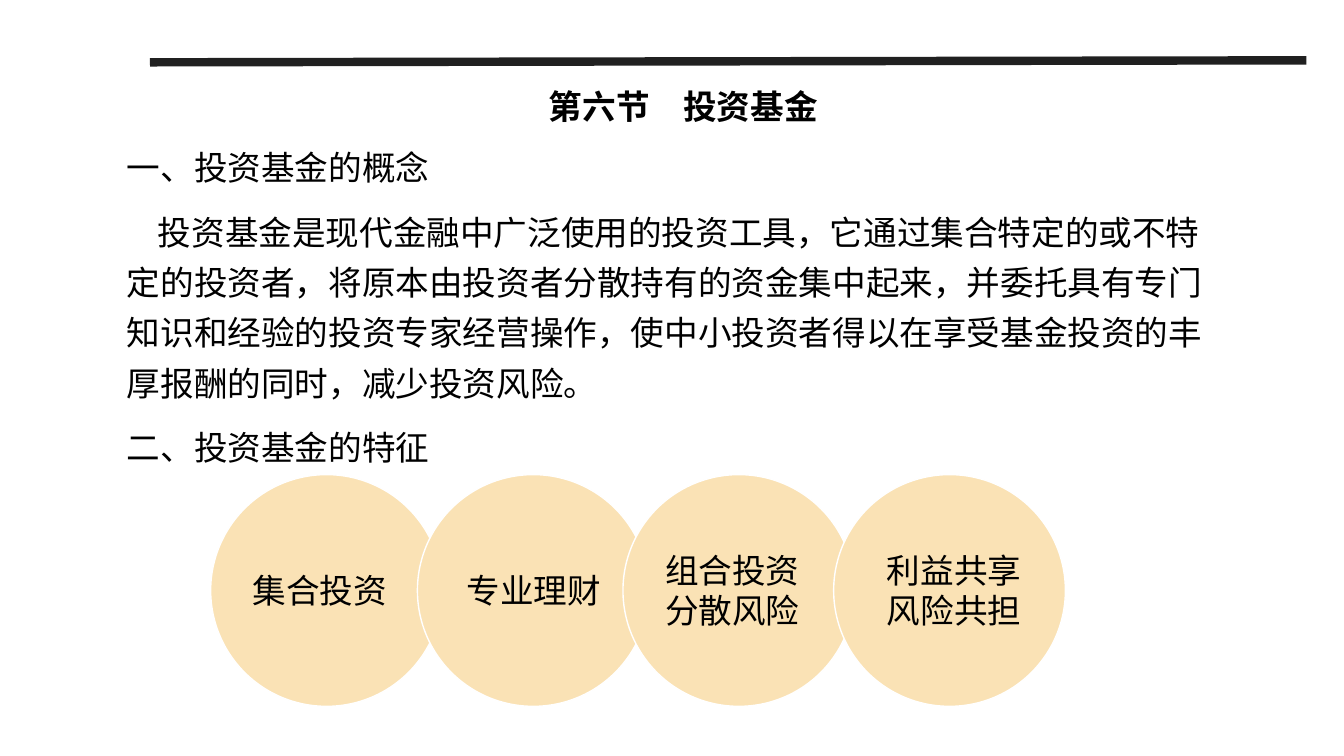
from lxml.etree import SubElement
from pptx import Presentation
from pptx.dml.color import RGBColor
from pptx.enum.shapes import MSO_CONNECTOR, MSO_SHAPE
from pptx.enum.text import MSO_ANCHOR, PP_ALIGN
from pptx.oxml.ns import qn
from pptx.util import Cm, Pt

FONT = "Noto Sans CJK SC"
COLORS = {"rule": "202020", "text": "000000", "circle": "FAE2B5", "edge": "FFFFFF"}


def color(name):
    return RGBColor.from_string(COLORS[name])


def add_text(box, lines, anchor=MSO_ANCHOR.TOP, bold=False, **paragraph_format):
    tf = s.shapes.add_textbox(*[Cm(v) for v in box]).text_frame
    tf.word_wrap = True
    tf.vertical_anchor = anchor
    for i, line in enumerate(lines):
        p = tf.paragraphs[0] if i == 0 else tf.add_paragraph()
        for key, value in paragraph_format.items():
            setattr(p, key, value)
        r = p.add_run()
        r.text = line
        for key, value in {"size": Pt(24), "name": FONT, "bold": bold}.items():
            setattr(r.font, key, value)
        r.font.color.rgb = color("text")
        SubElement(r.font._element, qn("a:ea"), typeface=FONT)
    return tf


prs = Presentation()
prs.slide_width, prs.slide_height = Cm(33.87), Cm(19.05)
s = prs.slides.add_slide(prs.slide_layouts[6])

rule = s.shapes.add_connector(MSO_CONNECTOR.STRAIGHT, Cm(3.78), Cm(1.57), Cm(32.92), Cm(1.52))
rule.line.color.rgb = color("rule")
rule.line.width = Pt(6)
SubElement(rule._element.spPr, qn("a:effectLst"))

add_text((8.61, 0.81, 17.22, 3.48), ["第六节　投资基金"], MSO_ANCHOR.MIDDLE, True,
         alignment=PP_ALIGN.CENTER, line_spacing=1.25)

tf = add_text((2.95, 3.33, 27.66, 9.42), [
    "一、投资基金的概念",
    "投资基金是现代金融中广泛使用的投资工具，它通过集合特定的或不特定的投资者，"
    "将原本由投资者分散持有的资金集中起来，并委托具有专门知识和经验的投资专家经营操作，"
    "使中小投资者得以在享受基金投资的丰厚报酬的同时，减少投资风险。",
    "二、投资基金的特征",
], line_spacing=1.25, space_before=Pt(10))
tf.paragraphs[1]._p.get_or_add_pPr().set("indent", str(Cm(0.78)))

features = [
    (5.31, 6.12, ["集合投资"]),
    (10.52, 11.51, ["专业理财"]),
    (15.7, 16.51, ["组合投资", "分散风险"]),
    (21.01, 22.1, ["利益共享", "风险共担"]),
]
diameter, middle = 5.84, 14.88
for left, _, _ in features:
    sp = s.shapes.add_shape(MSO_SHAPE.OVAL, Cm(left), Cm(middle - diameter / 2),
                            Cm(diameter), Cm(diameter))
    sp.shadow.inherit = False
    sp.fill.solid()
    sp.fill.fore_color.rgb = color("circle")
    sp.line.color.rgb = color("edge")
    sp.line.width = Pt(1)
for _, left, lines in features:
    height = 0.25 + 1.03 * len(lines)
    add_text((left, middle - height / 2, 4.22, height), lines)

prs.save("out.pptx")
